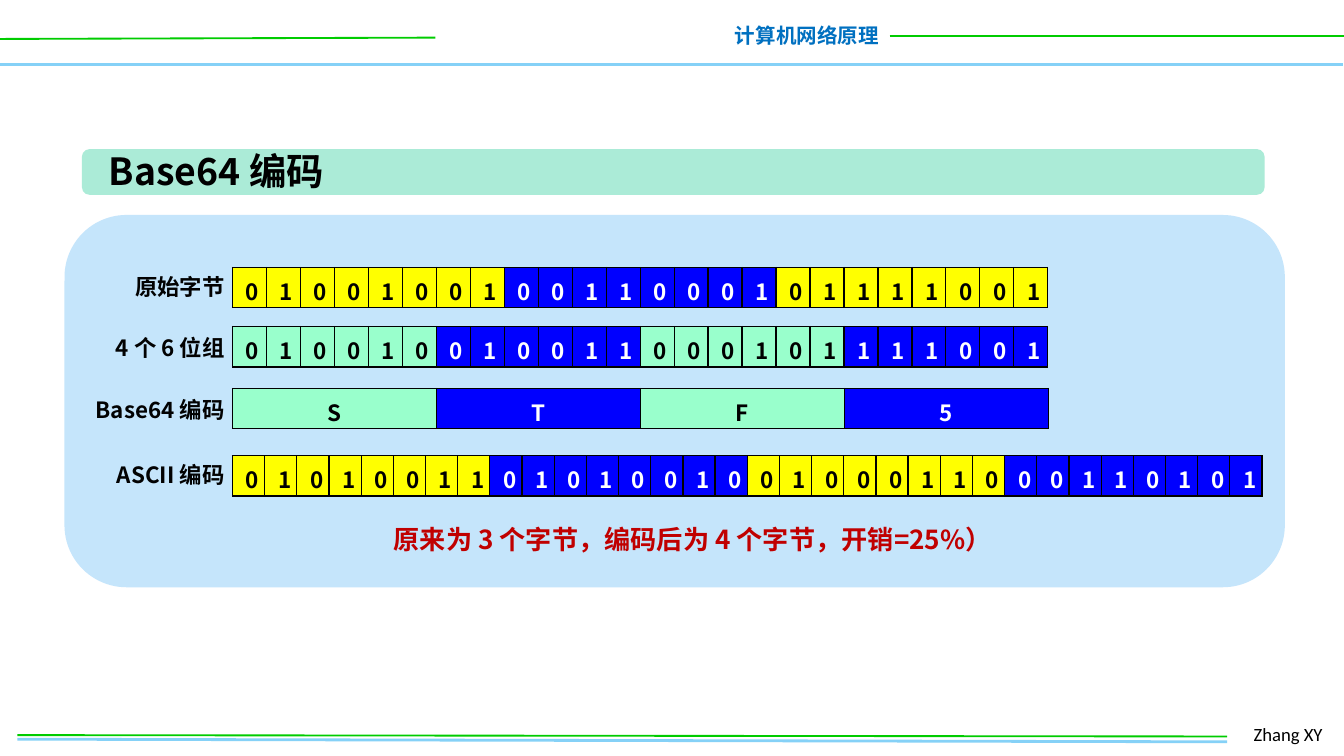
import pptx
import pptx.util
import pptx.dml.color
import pptx.enum.shapes
import pptx.enum.text
import pptx.oxml
import pptx.oxml.ns
from lxml import etree

Inches = pptx.util.Inches
RGBColor = pptx.dml.color.RGBColor
ALIGN = pptx.enum.text.PP_ALIGN
ANCHOR = pptx.enum.text.MSO_ANCHOR

SKY = RGBColor(0x85, 0xD1, 0xF7)
GREEN = RGBColor(0x00, 0xCC, 0x00)
HEADER_BLUE = RGBColor(0x00, 0x70, 0xC0)
PANEL_BLUE = RGBColor(0xC5, 0xE5, 0xFB)
TITLE_GREEN = RGBColor(0xAB, 0xEB, 0xD7)
BLACK = RGBColor(0x00, 0x00, 0x00)
LABEL_BLACK = RGBColor(0x02, 0x02, 0x02)
WHITE = RGBColor(0xFF, 0xFF, 0xFF)
RED = RGBColor(0xC0, 0x00, 0x00)
YELLOW = RGBColor(0xFF, 0xFF, 0x00)
MINT = RGBColor(0x99, 0xFF, 0xCC)
BLUE = RGBColor(0x00, 0x00, 0xFF)

CJK_FONT = "Noto Sans CJK SC"
ROW_HEIGHT = 0.3


def add_run(paragraph, text, size, color, bold=True, font_name=CJK_FONT):
    run = paragraph.add_run()
    run.text = text
    font = run.font
    font.size = pptx.util.Pt(size)
    font.bold = bold
    font.color.rgb = color
    font.name = font_name
    east_asian = etree.SubElement(font._element, pptx.oxml.ns.qn("a:ea"))
    east_asian.set("typeface", font_name)


def add_text(slide, box, text, size, color, align=ALIGN.LEFT, anchor=ANCHOR.TOP,
             wrap=True, **font_options):
    text_box = slide.shapes.add_textbox(*(Inches(length) for length in box))
    frame = text_box.text_frame
    frame.word_wrap = wrap
    frame.auto_size = pptx.enum.text.MSO_AUTO_SIZE.SHAPE_TO_FIT_TEXT
    frame.vertical_anchor = anchor
    paragraph = frame.paragraphs[0]
    paragraph.alignment = align
    add_run(paragraph, text, size, color, **font_options)


def add_line(slide, start, end, color, width):
    points = [Inches(length) for length in (*start, *end)]
    line = slide.shapes.add_connector(pptx.enum.shapes.MSO_CONNECTOR.STRAIGHT, *points)
    line.line.color.rgb = color
    line.line.width = pptx.util.Pt(width)
    properties = line._element.spPr
    etree.SubElement(properties, pptx.oxml.ns.qn("a:effectLst"))


def add_rounded_box(slide, box, color):
    shape = slide.shapes.add_shape(
        pptx.enum.shapes.MSO_SHAPE.ROUNDED_RECTANGLE, *(Inches(length) for length in box))
    shape.shadow.inherit = False
    shape.fill.solid()
    shape.fill.fore_color.rgb = color
    shape.line.fill.background()


def add_borders(cell):
    properties = cell._tc.get_or_add_tcPr()
    namespace = pptx.oxml.ns.nsdecls("a")
    for side in ("lnL", "lnR", "lnT", "lnB"):
        properties.append(pptx.oxml.parse_xml(
            f'<a:{side} {namespace} w="9525"><a:solidFill>'
            f'<a:srgbClr val="{BLACK}"/></a:solidFill></a:{side}>'))


def add_code_table(slide, box, symbols, groups, light_fill):
    left, top, width, height = box
    table = slide.shapes.add_table(
        1, len(symbols), Inches(left), Inches(top), Inches(width), Inches(height)).table
    table.first_row = False
    table.horz_banding = False
    for column in table.columns:
        column.width = Inches(width / len(symbols))
    for index, symbol in enumerate(symbols):
        is_light = index * groups // len(symbols) % 2 == 0
        cell = table.cell(0, index)
        add_borders(cell)
        cell.fill.solid()
        cell.fill.fore_color.rgb = light_fill if is_light else BLUE
        cell.vertical_anchor = ANCHOR.MIDDLE
        paragraph = cell.text_frame.paragraphs[0]
        paragraph.alignment = ALIGN.CENTER
        add_run(paragraph, symbol, 12, BLACK if is_light else WHITE)


def add_header(slide, box):
    left, top, width, height = box
    right, bottom = left + width, top + height
    add_line(slide, (left, bottom), (right, bottom), SKY, 2)
    add_line(slide, (left + 0.01, top + 0.29), (left + 3.25, top + 0.28), GREEN, 1)
    add_text(slide, (left + 5.37, top + 0.12, 1.28, 0.29), "计算机网络原理", 11,
             HEADER_BLUE, ALIGN.RIGHT, wrap=False)
    add_line(slide, (left + 6.63, top + 0.27), (right + 0.02, top + 0.27), GREEN, 1)


def add_footer(slide, box):
    left, top, width, height = box
    line_end = left + 9
    add_line(slide, (left, top + 0.17), (line_end, top + 0.19), SKY, 1.5)
    add_text(slide, (left + 9.1, top, width - 9.1, height), "Zhang XY", 10, BLACK,
             bold=False, font_name="Calibri")
    add_line(slide, (left, top + 0.14), (line_end, top + 0.15), GREEN, 1)


def add_title(slide, box):
    left, top, width, height = box
    add_rounded_box(slide, box, TITLE_GREEN)
    add_text(slide, (left + 0.1, top - 0.06, 5.55, 0.44), "Base64 编码", 20, BLACK)


def add_encoding_panel(slide, box):
    left, top, width, height = box
    add_rounded_box(slide, box, PANEL_BLUE)
    rows = [
        ("原始字节", 0.88, 0.38, 0.39, 6.07, "010010010011000101111001", 3, YELLOW),
        ("4 个 6 位组", 1.07, 0.84, 0.83, 6.07, "010010010011000101111001", 4, MINT),
        ("Base64 编码", 1.18, 1.3, 1.29, 6.07, "STF5", 4, MINT),
        ("ASCII 编码", 1.05, 1.78, 1.79, 7.66, "01010011010100100100011000110101", 4, YELLOW),
    ]
    table_left = left + 1.25
    label_right = table_left + 0.04
    for label, label_width, label_top, table_top, table_width, symbols, groups, fill in rows:
        add_code_table(slide, (table_left, top + table_top, table_width, ROW_HEIGHT),
                       symbols, groups, fill)
        add_text(slide, (label_right - label_width, top + label_top, label_width, ROW_HEIGHT),
                 label, 12, LABEL_BLACK, ALIGN.RIGHT)
    add_text(slide, (left + 1.98, top + 2.24, 5.39, 0.34),
             "原来为 3 个字节，编码后为 4 个字节，开销=25%）", 14, RED,
             ALIGN.CENTER, ANCHOR.MIDDLE)


def main():
    presentation = pptx.Presentation()
    presentation.slide_width = Inches(10)
    presentation.slide_height = presentation.slide_width * 9 // 16
    slide = presentation.slides.add_slide(presentation.slide_layouts[6])
    add_header(slide, (-0.01, 0, 10, 0.48))
    add_footer(slide, (0.13, 5.33, 9.84, 0.27))
    add_encoding_panel(slide, (0.48, 1.6, 9.08, 2.77))
    add_title(slide, (0.61, 1.11, 8.8, 0.34))
    presentation.save("out.pptx")


if __name__ == "__main__":
    main()
